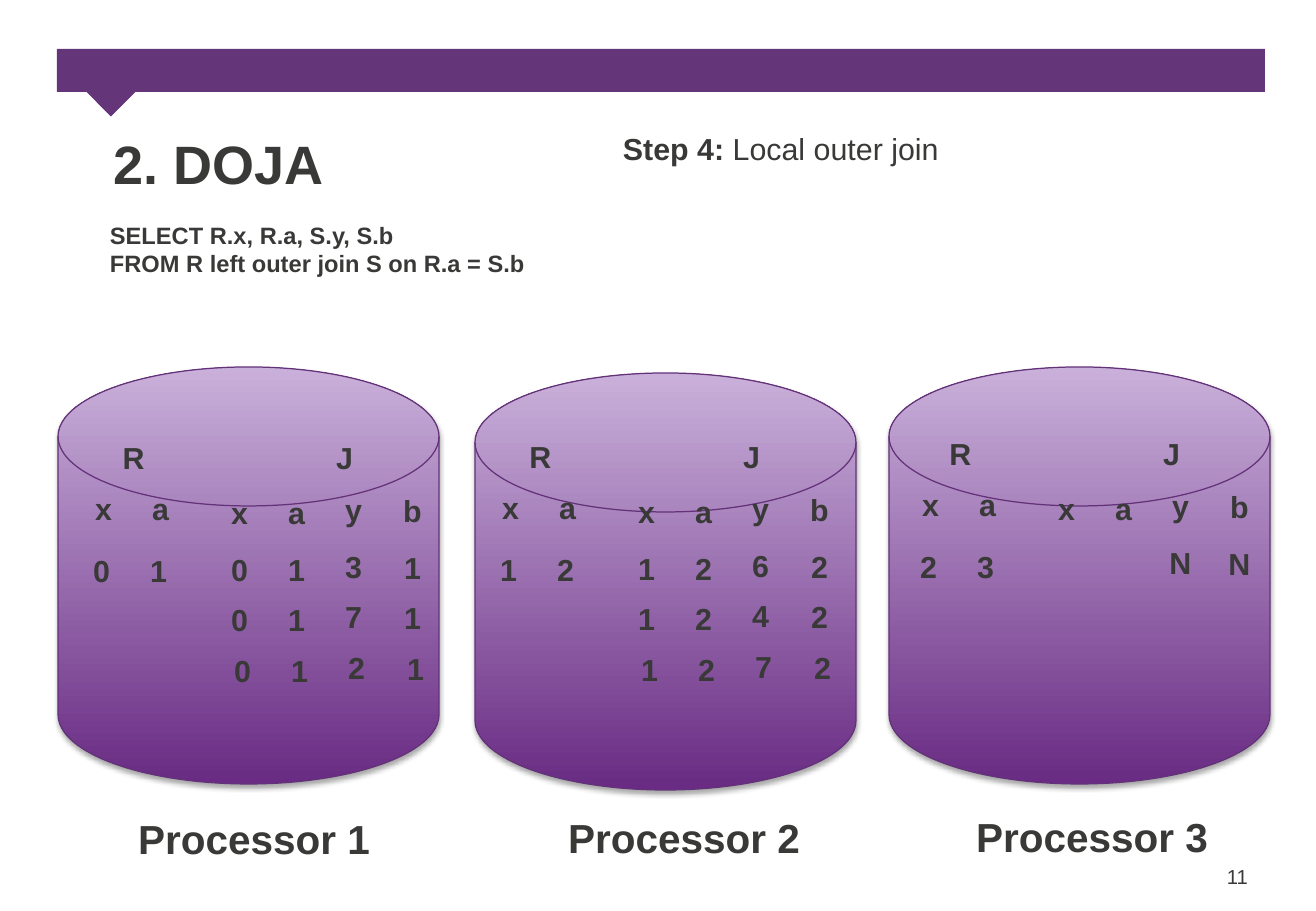
from lxml.etree import SubElement
from pptx import Presentation
from pptx.dml.color import RGBColor as RGB
from pptx.enum.shapes import MSO_SHAPE as SHAPE
from pptx.enum.text import MSO_ANCHOR as ANCHOR, MSO_AUTO_SIZE as AUTO, PP_ALIGN as ALIGN
from pptx.oxml.ns import qn
from pptx.util import Pt

PX = 7526
THEME = {
    "font": "Arial",
    "ink": RGB.from_string("393938"),
    "banner": RGB.from_string("653579"),
    "disk_bottom": RGB.from_string("692B83"),
    "disk_top": RGB.from_string("C9B0DA"),
    "disk_line": RGB.from_string("633278"),
    "shadow": "000000",
    "title": Pt(32),
    "caption": Pt(24),
    "body": Pt(18),
    "query": Pt(14),
    "page": Pt(12),
}

prs = Presentation()
prs.slide_width, prs.slide_height = 1316 * PX, 911 * PX
slide = prs.slides.add_slide(prs.slide_layouts[6])


def add_text(left, top, width, height, lines, size, bold=True, align=ALIGN.LEFT, wrap=False):
    box = slide.shapes.add_textbox(left * PX, top * PX, width * PX, height * PX)
    frame = box.text_frame
    frame.word_wrap = wrap
    frame.auto_size = AUTO.SHAPE_TO_FIT_TEXT
    frame.text = lines
    for paragraph in frame.paragraphs:
        paragraph.alignment = align
        paragraph.font.name = THEME["font"]
        paragraph.font.size = THEME[size]
        paragraph.font.bold = bold
        paragraph.font.color.rgb = THEME["ink"]
    return frame


def add_filled(kind, left, top, width, height):
    shape = slide.shapes.add_shape(kind, left * PX, top * PX, width * PX, height * PX)
    shape.shadow.inherit = False
    return shape


banner = add_filled(SHAPE.RECTANGLE, 57, 49, 1208, 43)
pointer = add_filled(SHAPE.RECTANGLE, 95, 61, 39, 49)
pointer.rotation = 45
for part in (banner, pointer):
    part.fill.solid()
    part.fill.fore_color.rgb = THEME["banner"]
    part.line.fill.background()

title = add_text(114, 125, 1151, 81, "2. DOJA", "title", wrap=True)
title.auto_size = AUTO.NONE
title.vertical_anchor = ANCHOR.MIDDLE
title.margin_left = title.margin_top = 0

step = add_text(611, 124, 343, 49, "Step 4: ", "body", bold=None).paragraphs[0]
step.runs[0].font.bold = True
step.add_run().text = "Local outer join"

add_text(98, 215, 441, 69,
         "SELECT R.x, R.a, S.y, S.b\nFROM R left outer join S on R.a = S.b", "query")
add_text(1215, 858, 50, 36, "11", "page", bold=False)

R_COLUMNS = [("x", 0), ("a", 57)]
J_COLUMNS = [("x", 136, 4), ("a", 193, 4), ("y", 250, 1), ("b", 309, 2)]
J_ROWS = [(0, 57), (0, 107), (3, 158)]

processors = [
    ("Processor 1", (58, 367), (102, 808), (77, 484), "01", ["0131", "0171", "0121"]),
    ("Processor 2", (475, 373), (532, 807), (484, 483), "12", ["1262", "1242", "1272"]),
    ("Processor 3", (889, 367), (940, 806), (904, 480), "23", ["  NN"]),
]

for name, disk_at, name_at, (grid_x, grid_y), r_row, j_rows in processors:
    disk = add_filled(SHAPE.FLOWCHART_MAGNETIC_DISK, *disk_at, 381, 417)
    disk.fill.gradient()
    disk.fill.gradient_angle = 90
    for stop, colour in zip(disk.fill.gradient_stops, ("disk_bottom", "disk_top")):
        stop.color.rgb = THEME[colour]
    disk.line.color.rgb = THEME["disk_line"]
    disk.line.width = Pt(0.75)
    effects = disk._element.spPr.find(qn("a:effectLst"))
    shadow = SubElement(effects, qn("a:outerShdw"), blurRad=str(Pt(3.1)), dist=str(Pt(1.8)),
                        dir="5400000", rotWithShape="0")
    shade = SubElement(shadow, qn("a:srgbClr"), val=THEME["shadow"])
    SubElement(shade, qn("a:alpha"), val="35000")

    add_text(*name_at, 304, 61, name, "caption", align=ALIGN.CENTER, wrap=True)

    cells = [("R", 30, -51), ("J", 241, -51)]
    for (heading, x), value in zip(R_COLUMNS, r_row):
        cells += [(heading, x, 0), (value, x - 2, 62)]
    for column, (heading, x, drop) in enumerate(J_COLUMNS):
        cells.append((heading, x, drop))
        for (shift, y), row in zip(J_ROWS, j_rows):
            cells.append((row[column], x + shift, y + drop))

    for value, x, y in cells:
        if value.strip():
            add_text(grid_x + x, grid_y + y, 53, 49, value, "body", align=ALIGN.CENTER, wrap=True)

prs.save("out.pptx")
